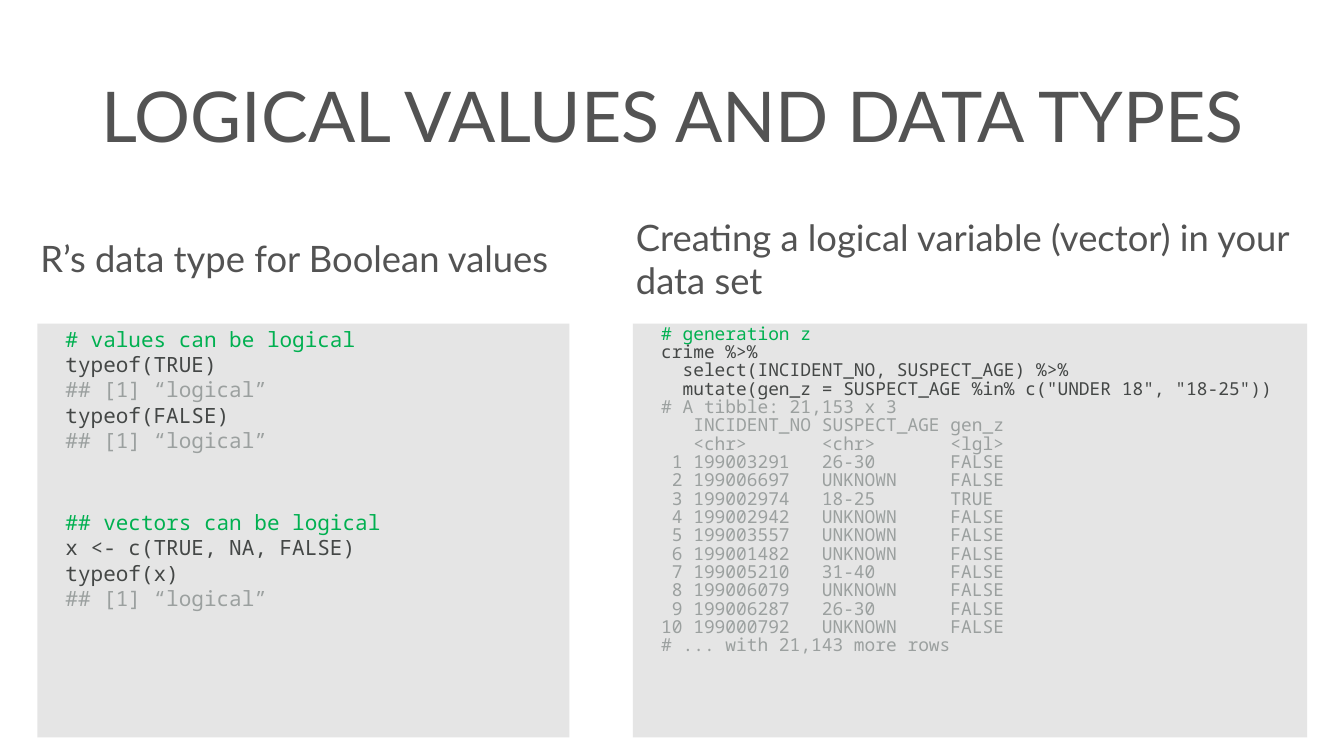
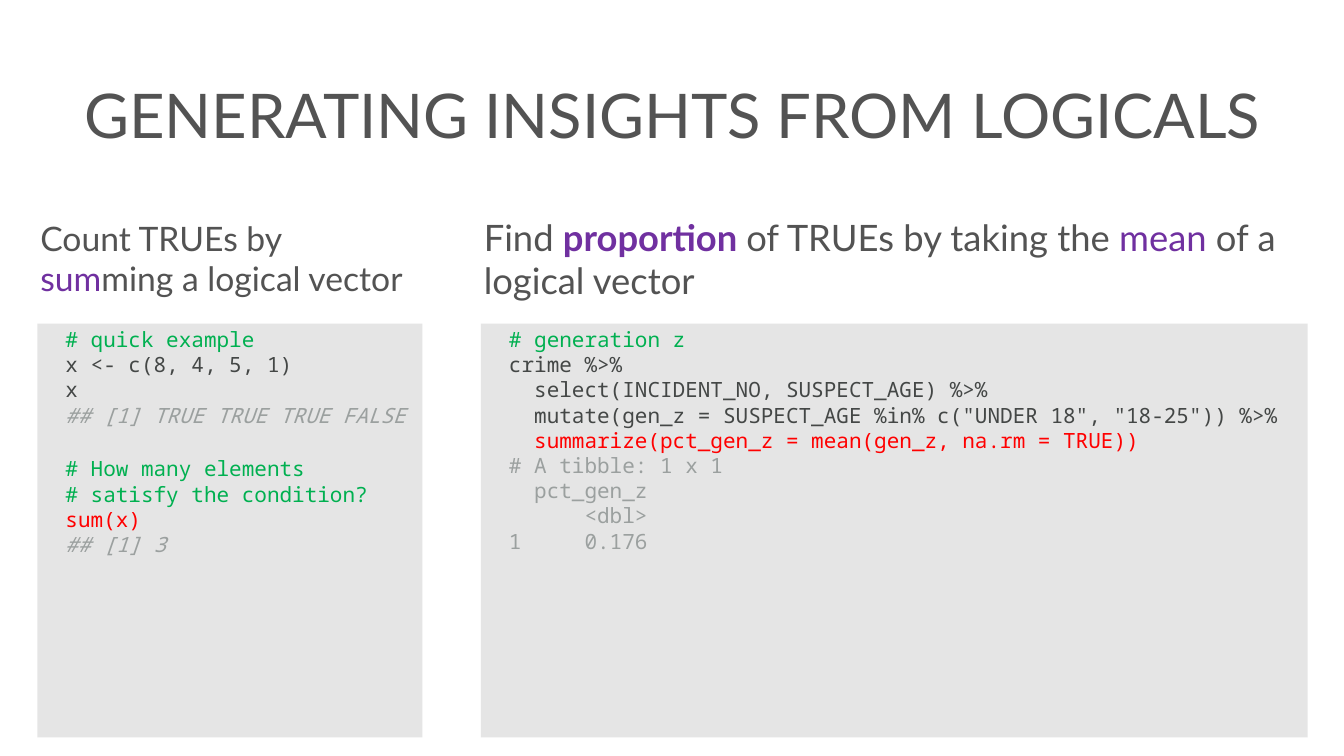
from dataclasses import dataclass

from pptx import Presentation
from pptx.dml.color import RGBColor
from pptx.enum.shapes import MSO_SHAPE
from pptx.enum.text import MSO_ANCHOR, PP_ALIGN
from pptx.util import Inches, Pt

RECT = MSO_SHAPE.RECTANGLE
TOP, MIDDLE = MSO_ANCHOR.TOP, MSO_ANCHOR.MIDDLE
LEFT, CENTER = PP_ALIGN.LEFT, PP_ALIGN.CENTER


@dataclass(frozen=True)
class Theme:
    text_font: str = "Lato"
    code_font: str = "Noto Sans Mono"
    text: str = "535353"
    accent: str = "7030A0"
    panel: str = "E5E5E5"
    comment: str = "00B050"
    code: str = "444746"
    output: str = "9BA09F"
    key: str = "FF0000"
    heading_size: float = 52
    heading_small: float = 48.1
    code_size: float = 30
    code_small: float = 25.5
    code_line: float = 1.36  # line height of the code font, in ems


T = Theme()
MARGIN, WIDTH = 0.74, 25.21
TITLE_TOP, TITLE_HEIGHT = 0.39, 3.75
HEADING_TOP, HEADING_HEIGHT = 4.19, 1.87
PANEL_TOP, PANEL_HEIGHT = 6.42, 8.21
INSET, CODE_INDENT = 0.06, 0.5


def set_frame(sp, anchor):
    tf = sp.text_frame
    tf.word_wrap = True
    tf.vertical_anchor = anchor
    tf.margin_left = tf.margin_right = Inches(INSET)
    tf.margin_top = tf.margin_bottom = Inches(INSET)
    return tf


def add_run(p, text, font, size, color, bold=False, italic=False):
    r = p.add_run()
    r.text = text
    r.font.name = font
    r.font.size = Pt(size)
    r.font.color.rgb = RGBColor.from_string(color)
    r.font.bold = bold
    r.font.italic = italic


# Headings are runs of (text, colour, bold).
# Code is a list of (colour, italic, lines); an empty line leaves a gap.
# Columns are (left, width, heading size, heading, code size, line spacing,
# space between lines, code).
SLIDES = [
    ("LOGICAL VALUES AND DATA TYPES", 100, [
        (MARGIN, 10.56, T.heading_size,
         [("R’s data type for Boolean values", T.text, False)],
         T.code_size, 1.0, 0, [
             (T.comment, False, "# values can be logical"),
             (T.code, False, "typeof(TRUE)"),
             (T.output, False, "## [1] “logical”"),
             (T.code, False, "typeof(FALSE)"),
             (T.output, False, "## [1] “logical”"),
             (T.comment, False, "\n\n## vectors can be logical"),
             (T.code, False, "x <- c(TRUE, NA, FALSE)\ntypeof(x)"),
             (T.output, False, "## [1] “logical”"),
         ]),
        (12.56, 13.38, T.heading_size,
         [("Creating a logical variable (vector) in your data set",
           T.text, False)],
         T.code_small, 0.8, 1.7, [
             (T.comment, False, "# generation z"),
             (T.code, False, """crime %>%
  select(INCIDENT_NO, SUSPECT_AGE) %>%
  mutate(gen_z = SUSPECT_AGE %in% c("UNDER 18", "18-25"))"""),
             (T.output, False, """# A tibble: 21,153 x 3
   INCIDENT_NO SUSPECT_AGE gen_z
   <chr>       <chr>       <lgl>
 1 199003291   26-30       FALSE
 2 199006697   UNKNOWN     FALSE
 3 199002974   18-25       TRUE
 4 199002942   UNKNOWN     FALSE
 5 199003557   UNKNOWN     FALSE
 6 199001482   UNKNOWN     FALSE
 7 199005210   31-40       FALSE
 8 199006079   UNKNOWN     FALSE
 9 199006287   26-30       FALSE
10 199000792   UNKNOWN     FALSE
# ... with 21,143 more rows"""),
         ]),
    ]),
    ("GENERATING INSIGHTS FROM LOGICALS", 88, [
        (MARGIN, 7.64, T.heading_small,
         [("Count TRUEs by ", T.text, False),
          ("sum", T.accent, False),
          ("ming a logical vector", T.text, False)],
         T.code_size, 1.0, 0, [
             (T.comment, False, "# quick example"),
             (T.code, False, "x <- c(8, 4, 5, 1)\nx"),
             (T.output, True, "## [1] TRUE TRUE TRUE FALSE"),
             (T.comment, False,
              "\n# How many elements\n# satisfy the condition?"),
             (T.key, False, "sum(x)"),
             (T.output, True, "## [1] 3"),
         ]),
        (9.54, 16.41, T.heading_size,
         [("Find ", T.text, False),
          ("proportion ", T.accent, True),
          ("of TRUEs by taking the ", T.text, False),
          ("mean", T.accent, False),
          (" of a logical vector", T.text, False)],
         T.code_size, 1.0, 0, [
             (T.comment, False, "# generation z"),
             (T.code, False, """crime %>%
  select(INCIDENT_NO, SUSPECT_AGE) %>%
  mutate(gen_z = SUSPECT_AGE %in% c("UNDER 18", "18-25")) %>%"""),
             (T.key, False,
              "  summarize(pct_gen_z = mean(gen_z, na.rm = TRUE))"),
             (T.output, False, """# A tibble: 1 x 1
  pct_gen_z
      <dbl>
1     0.176"""),
         ]),
    ]),
]

prs = Presentation()
prs.slide_width, prs.slide_height = Inches(26.67), Inches(15)

for title, title_size, columns in SLIDES:
    s = prs.slides.add_slide(prs.slide_layouts[6])
    sp = s.shapes.add_textbox(Inches(MARGIN), Inches(TITLE_TOP),
                              Inches(WIDTH), Inches(TITLE_HEIGHT))
    p = set_frame(sp, MIDDLE).paragraphs[0]
    p.alignment = CENTER
    add_run(p, title, T.text_font, title_size, T.text)

    for (left, width, heading_size, heading,
         code_size, line_spacing, line_gap, code) in columns:
        sp = s.shapes.add_textbox(Inches(left), Inches(HEADING_TOP),
                                  Inches(width), Inches(HEADING_HEIGHT))
        p = set_frame(sp, MIDDLE).paragraphs[0]
        for text, color, bold in heading:
            add_run(p, text, T.text_font, heading_size, color, bold)

        sp = s.shapes.add_shape(RECT, Inches(left), Inches(PANEL_TOP),
                                Inches(width), Inches(PANEL_HEIGHT))
        sp.shadow.inherit = False
        sp.fill.solid()
        sp.fill.fore_color.rgb = RGBColor.from_string(T.panel)
        sp.line.fill.background()
        tf = set_frame(sp, TOP)

        lines = [(color, italic, line) for color, italic, block in code
                 for line in block.split("\n")]
        p, space = tf.paragraphs[0], 0
        for i, (color, italic, line) in enumerate(lines):
            if not line:
                space += code_size * T.code_line * line_spacing
                continue
            if i:
                p = tf.add_paragraph()
            p.alignment = LEFT
            p.line_spacing = line_spacing
            p.space_before = Pt(space)
            pPr = p._p.get_or_add_pPr()
            pPr.set("marL", "0")
            pPr.set("indent", str(Inches(CODE_INDENT)))
            add_run(p, line, T.code_font, code_size, color, italic=italic)
            space = line_gap

prs.save("out.pptx")
